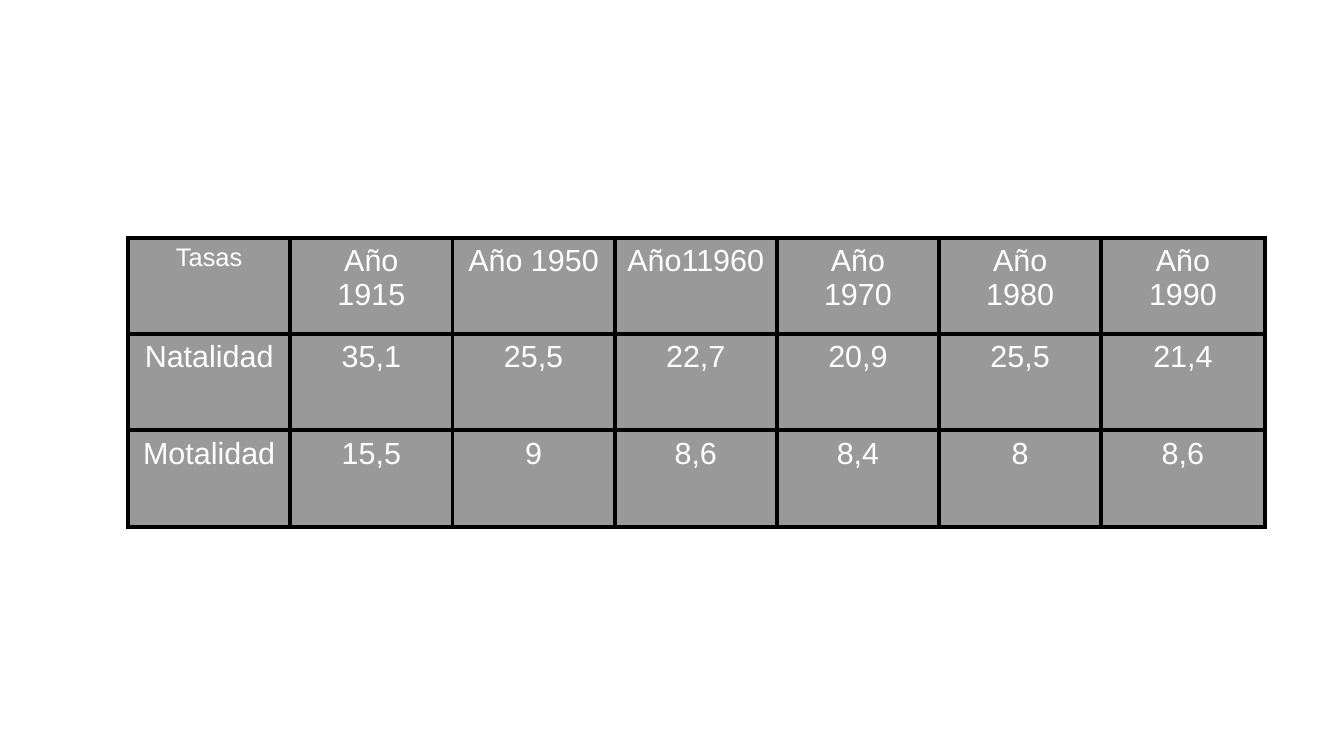
from lxml import etree
from pptx import Presentation
from pptx.dml.color import RGBColor
from pptx.enum.text import PP_ALIGN
from pptx.oxml.ns import qn
from pptx.util import Inches, Pt

CENTER = PP_ALIGN.CENTER
GRAY = RGBColor(0x99, 0x99, 0x99)
WHITE = RGBColor(0xFF, 0xFF, 0xFF)
BLACK = RGBColor(0x00, 0x00, 0x00)
BORDER_WIDTH = Pt(2.55)

RATES = [
    ["Tasas", "Año\n1915", "Año 1950", "Año11960", "Año\n1970", "Año\n1980", "Año\n1990"],
    ["Natalidad", "35,1", "25,5", "22,7", "20,9", "25,5", "21,4"],
    ["Motalidad", "15,5", "9", "8,6", "8,4", "8", "8,6"],
]
COLUMN_WIDTHS = [1.33] * 6 + [1.34]
ROW_HEIGHT = 0.79
FONT = {"name": "Arial", "size": Pt(18), "bold": False}


def add_borders(cell):
    properties = cell._tc.get_or_add_tcPr()
    for side in ("a:lnL", "a:lnR", "a:lnT", "a:lnB"):
        line = etree.SubElement(properties, qn(side), w=str(BORDER_WIDTH))
        fill = etree.SubElement(line, qn("a:solidFill"))
        etree.SubElement(fill, qn("a:srgbClr"), val=str(BLACK))


deck = Presentation()
deck.slide_width = Inches(11.02)
deck.slide_height = Inches(6.2)
page = deck.slides.add_slide(deck.slide_layouts[6])

frame = page.shapes.add_table(
    len(RATES), len(COLUMN_WIDTHS), Inches(1.05), Inches(1.95),
    Inches(sum(COLUMN_WIDTHS)), Inches(ROW_HEIGHT * len(RATES)))
table = frame.table
for column, width in zip(table.columns, COLUMN_WIDTHS):
    column.width = Inches(width)

for row, texts in zip(table.rows, RATES):
    row.height = Inches(ROW_HEIGHT)
    for cell, text in zip(row.cells, texts):
        add_borders(cell)
        cell.fill.solid()
        cell.fill.fore_color.rgb = GRAY
        cell.text = text
        for para in cell.text_frame.paragraphs:
            para.alignment = CENTER
            for span in para.runs:
                for key, value in FONT.items():
                    setattr(span.font, key, value)
                span.font.color.rgb = WHITE

table.cell(0, 0).text_frame.paragraphs[0].runs[0].font.size = Pt(15)

deck.save("out.pptx")
